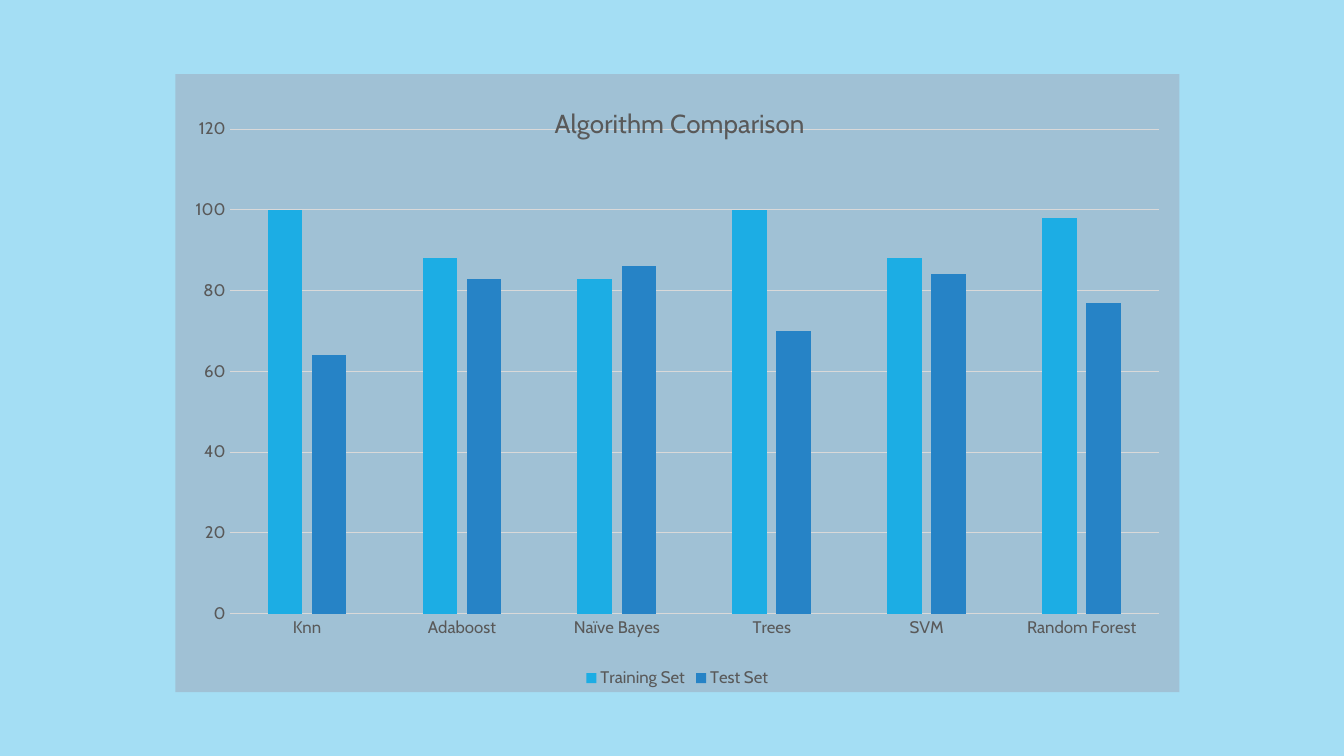
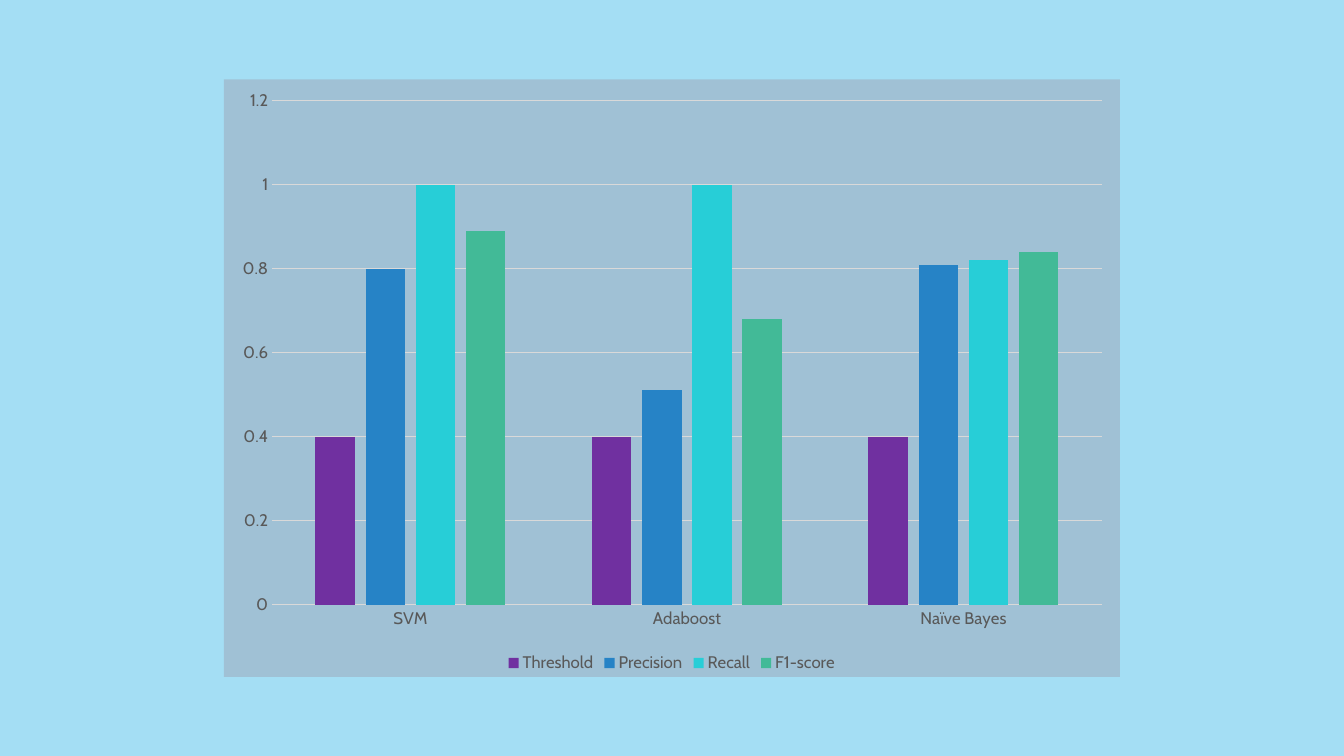
from lxml import etree
from pptx import Presentation
from pptx.chart.data import CategoryChartData
from pptx.dml.color import RGBColor
from pptx.enum.chart import XL_CHART_TYPE as ChartType
from pptx.enum.chart import XL_LEGEND_POSITION as LegendPosition
from pptx.enum.chart import XL_TICK_MARK as TickMark
from pptx.oxml import parse_xml
from pptx.oxml.ns import nsdecls, qn
from pptx.util import Cm, Pt

SKY = RGBColor(0xA4, 0xDE, 0xF4)
PANEL = RGBColor(0xA0, 0xC1, 0xD5)
GREY_TEXT = RGBColor(0x59, 0x59, 0x59)
GRID = RGBColor(0xD9, 0xD9, 0xD9)
CYAN = RGBColor(0x1C, 0xAD, 0xE4)
BLUE = RGBColor(0x26, 0x83, 0xC6)
PURPLE = RGBColor(0x70, 0x30, 0xA0)
TURQUOISE = RGBColor(0x27, 0xCE, 0xD7)
GREEN = RGBColor(0x42, 0xBA, 0x97)

LABEL_FONT = {"name": "Cabin", "size": Pt(12), "bold": False}
TITLE_FONT = {"name": "Cabin", "size": Pt(18.6), "bold": False}
COLUMN_FORMAT = {"gap_width": 219, "overlap": -27, "vary_by_categories": False}
AXIS_FORMAT = {"major_tick_mark": TickMark.NONE, "minor_tick_mark": TickMark.NONE}
LEGEND_FORMAT = {"position": LegendPosition.BOTTOM, "include_in_layout": False}

CHARTS = [
    {
        "box": (4.42, 1.87, 25.3, 15.57),
        "plot": {"x": 5.4, "y": 8.9, "w": 92.6, "h": 78.4},
        "title": "Algorithm Comparison",
        "title_at": {"x": 37.3, "y": 4.2},
        "scale": {"minimum_scale": 0, "maximum_scale": 120, "major_unit": 20},
        "categories": ["Knn", "Adaboost", "Naïve Bayes", "Trees", "SVM", "Random Forest"],
        "series": [
            ("Training Set", (100, 88, 83, 100, 88, 98), CYAN),
            ("Test Set", (64, 83, 86, 70, 84, 77), BLUE),
        ],
    },
    {
        "box": (5.64, 2, 22.58, 15.06),
        "plot": {"x": 5.4, "y": 3.6, "w": 92.6, "h": 84.3},
        "title": None,
        "scale": {"minimum_scale": 0, "maximum_scale": 1.2, "major_unit": 0.2},
        "categories": ["SVM", "Adaboost", "Naïve Bayes"],
        "series": [
            ("Threshold", (0.4, 0.4, 0.4), PURPLE),
            ("Precision", (0.8, 0.51, 0.81), BLUE),
            ("Recall", (1, 1, 0.82), TURQUOISE),
            ("F1-score", (0.89, 0.68, 0.84), GREEN),
        ],
    },
]


def apply_format(target, values):
    """Set each named attribute on the target."""
    for name, value in values.items():
        setattr(target, name, value)


def style_font(font, values):
    """Give a font its format and the shared text colour."""
    apply_format(font, values)
    font.color.rgb = GREY_TEXT


def style_line(line):
    """Give a line the thin grid look."""
    line.width = Pt(0.75)
    line.color.rgb = GRID


def place_part(part, index, percents, inner=False):
    """Place a chart part by percentages of the chart box."""
    for old in part.findall(qn("c:layout")):
        part.remove(old)
    layout = parse_xml(f"<c:layout {nsdecls('c')}><c:manualLayout/></c:layout>")
    manual = layout[0]
    settings = {"layoutTarget": "inner"} if inner else {}
    settings.update({"xMode": "edge", "yMode": "edge"})
    settings.update({key: f"{value / 100:.3f}" for key, value in percents.items()})
    for tag, value in settings.items():
        etree.SubElement(manual, qn(f"c:{tag}")).set("val", value)
    part.insert(index, layout)


def fill_panel(chart):
    """Fill the chart area with the panel colour and no outline."""
    chart.element.find(qn("c:chart")).addnext(parse_xml(
        f"<c:spPr {nsdecls('c', 'a')}><a:solidFill><a:srgbClr val='{PANEL}'/></a:solidFill>"
        "<a:ln><a:noFill/></a:ln></c:spPr>"))


def style_axes(chart, scale):
    """Format both axes and the gridlines."""
    for axis in (chart.category_axis, chart.value_axis):
        apply_format(axis, AXIS_FORMAT)
        style_font(axis.tick_labels.font, LABEL_FONT)
    style_line(chart.category_axis.format.line)
    apply_format(chart.value_axis, scale)
    chart.value_axis.format.line.fill.background()
    style_line(chart.value_axis.major_gridlines.format.line)


def add_title(chart, text, position):
    """Write the chart title at its place over the plot."""
    paragraph = chart.chart_title.text_frame.paragraphs[0]
    run = paragraph.add_run()
    run.text = text
    style_font(run.font, TITLE_FONT)
    place_part(chart.element.find(".//" + qn("c:title")), 1, position)


def add_column_chart(slide, content):
    """Add a clustered column chart in its box."""
    data = CategoryChartData()
    data.categories = content["categories"]
    for name, values, _ in content["series"]:
        data.add_series(name, values)
    box = [Cm(length) for length in content["box"]]
    chart = slide.shapes.add_chart(ChartType.COLUMN_CLUSTERED, *box, data).chart
    style_font(chart.font, LABEL_FONT)
    fill_panel(chart)
    apply_format(chart.plots[0], COLUMN_FORMAT)
    for series, (_, _, colour) in zip(chart.plots[0].series, content["series"]):
        series.format.fill.solid()
        series.format.fill.fore_color.rgb = colour
    style_axes(chart, content["scale"])
    chart.has_legend = True
    apply_format(chart.legend, LEGEND_FORMAT)
    style_font(chart.legend.font, LABEL_FONT)
    chart.has_title = content["title"] is not None
    if chart.has_title:
        add_title(chart, content["title"], content["title_at"])
    place_part(chart.element.find(".//" + qn("c:plotArea")), 0, content["plot"], inner=True)


def add_chart_slide(presentation, content):
    """Add a sky-coloured slide with one chart."""
    slide = presentation.slides.add_slide(presentation.slide_layouts[6])
    slide.background.fill.solid()
    slide.background.fill.fore_color.rgb = SKY
    add_column_chart(slide, content)


def main():
    """Build and save the presentation."""
    presentation = Presentation()
    apply_format(presentation, {"slide_width": Cm(33.87), "slide_height": Cm(19.05)})
    for content in CHARTS:
        add_chart_slide(presentation, content)
    presentation.save("out.pptx")


if __name__ == "__main__":
    main()
